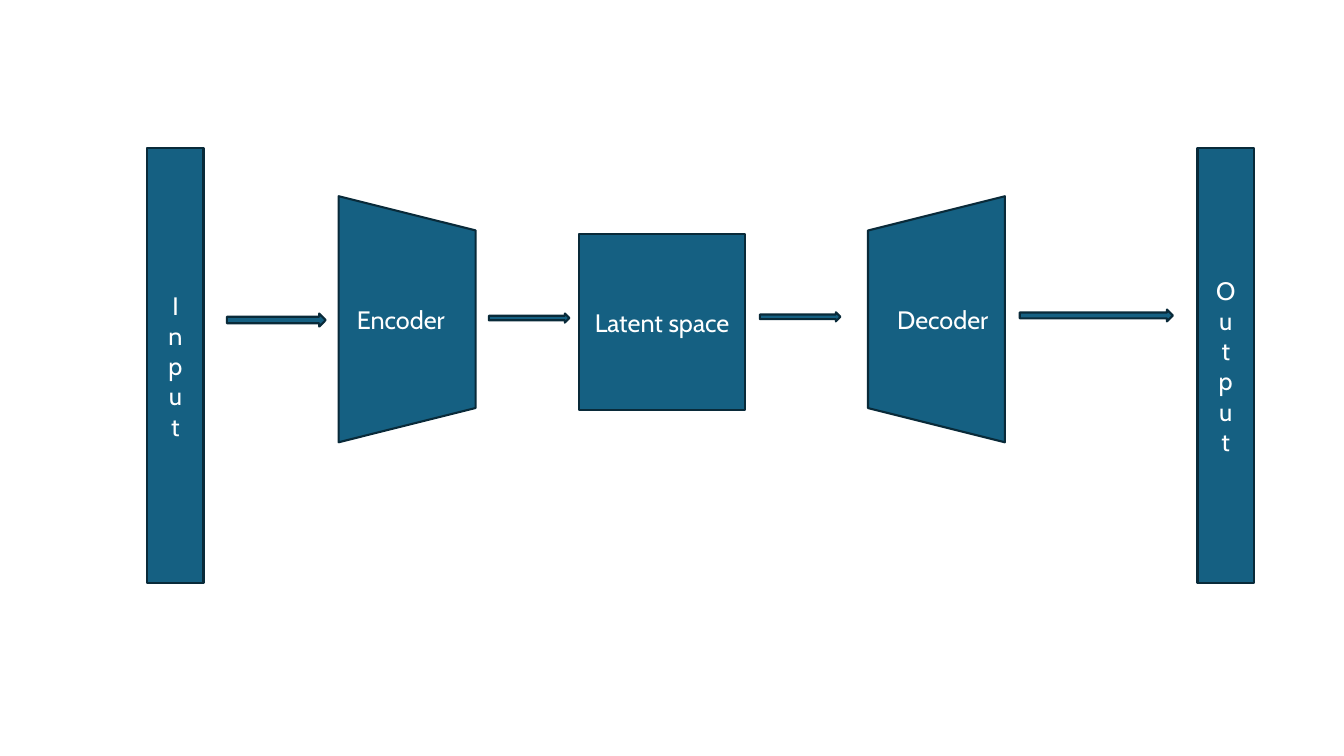
"""Build an autoencoder diagram: input, encoder, latent space, decoder, output."""
from pptx import Presentation
from pptx.dml.color import RGBColor
from pptx.enum.shapes import MSO_SHAPE
from pptx.enum.text import MSO_ANCHOR, PP_ALIGN
from pptx.util import Cm, Pt

COLOURS = {"fill": "156082", "outline": "092A39", "label": "FFFFFF"}
LABEL_FORMAT = {"name": "Cabin", "size": Pt(18)}

deck = Presentation()
deck.slide_width, deck.slide_height = Cm(33.87), Cm(19.05)
slide = deck.slides.add_slide(deck.slide_layouts[6])


def add_part(kind, left, top, width, height):
    part = slide.shapes.add_shape(kind, Cm(left), Cm(top), Cm(width), Cm(height))
    part.shadow.inherit = False
    part.fill.solid()
    part.fill.fore_color.rgb = RGBColor.from_string(COLOURS["fill"])
    part.line.color.rgb = RGBColor.from_string(COLOURS["outline"])
    part.line.width = Pt(1.5)
    return part


layer_size = (3.73, 1.42, 10.97)
coder_size = (6.32, 6.2, 3.45)
stages = [
    ("Input", MSO_SHAPE.RECTANGLE, 3.71, layer_size, 0, "wordArtVert"),
    ("Output", MSO_SHAPE.RECTANGLE, 30.18, layer_size, 0, "wordArtVert"),
    ("Encoder", MSO_SHAPE.TRAPEZOID, 7.16, coder_size, 90, "vert270"),
    ("Decoder", MSO_SHAPE.TRAPEZOID, 20.5, coder_size, 270, "vert"),
    ("Latent space", MSO_SHAPE.RECTANGLE, 14.6, (5.89, 4.17, 4.45), 0, "horz"),
]
for label, kind, left, size, rotation, direction in stages:
    stage = add_part(kind, left, *size)
    stage.rotation = rotation
    frame = stage.text_frame
    frame.word_wrap = True
    frame.vertical_anchor = MSO_ANCHOR.MIDDLE
    frame._txBody.bodyPr.set("vert", direction)
    paragraph = frame.paragraphs[0]
    paragraph.alignment = PP_ALIGN.CENTER
    wording = paragraph.add_run()
    wording.text = label
    for attribute, value in LABEL_FORMAT.items():
        setattr(wording.font, attribute, value)
    wording.font.color.rgb = RGBColor.from_string(COLOURS["label"])

flows = [
    (5.72, 7.9, 2.49, 0.33),
    (12.32, 7.9, 2.03, 0.23),
    (19.15, 7.87, 2.03, 0.23),
    (25.7, 7.8, 3.86, 0.3),
]
for flow in flows:
    add_part(MSO_SHAPE.RIGHT_ARROW, *flow)

deck.save("out.pptx")
